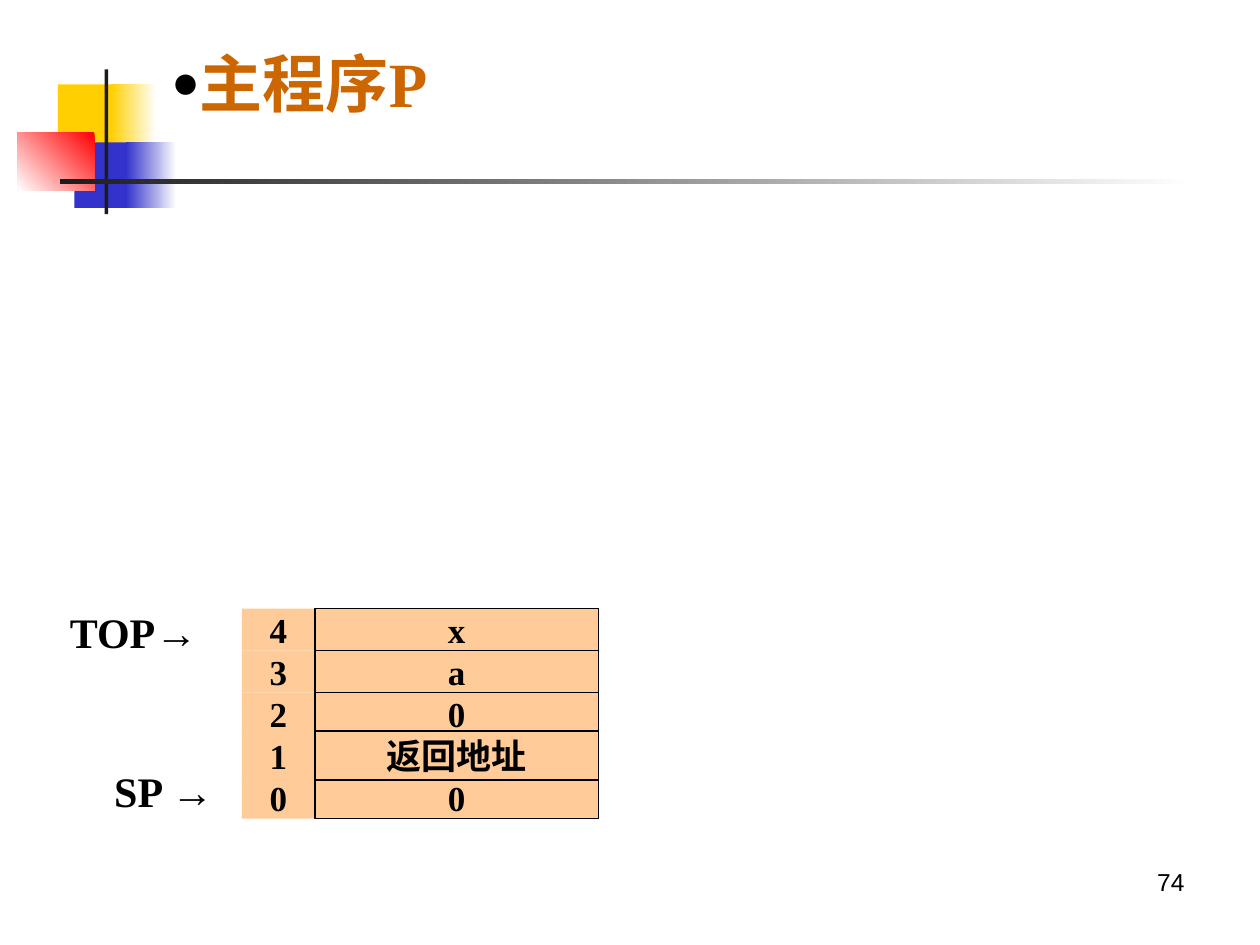
from lxml import etree
from pptx import Presentation
from pptx.dml.color import RGBColor
from pptx.enum.shapes import MSO_SHAPE
from pptx.enum.text import MSO_ANCHOR, MSO_AUTO_SIZE, PP_ALIGN
from pptx.oxml.ns import qn
from pptx.util import Inches, Pt

RECTANGLE = MSO_SHAPE.RECTANGLE
MIDDLE, TOP = MSO_ANCHOR.MIDDLE, MSO_ANCHOR.TOP
LEFT, CENTER, RIGHT = PP_ALIGN.LEFT, PP_ALIGN.CENTER, PP_ALIGN.RIGHT
NO_AUTOFIT = MSO_AUTO_SIZE.NONE

# Content
TITLE = "主程序P"
SLIDE_NUMBER = "74"
STACK = [("4", "x"), ("3", "a"), ("2", "0"), ("1", "返回地址"), ("0", "0")]
TALL_ROW = 3  # the return address, drawn over its neighbours
POINTERS = [("SP ", (0.59, 6.11, 1.42, 0.33)), ("TOP", (0.35, 4.85, 1.42, 0.33))]

THEME = {
    "black": "000000", "white": "FFFFFF", "orange": "CC6600", "peach": "FFCC99",
    "yellow": "FFCF01", "blue": "3333CC", "red": "FF0000", "ink": "1C1C1C",
    "serif": "Times New Roman", "sans": "Arial",
    "title": 36, "pointer": 24, "cell": 20, "number": 14,
}

# Box, then one colour, or start colour, end colour and counter-clockwise angle
DECORATION = [
    ((0.46, 0.67, 0.48, 0.52), ("yellow",)),
    ((0.88, 0.67, 0.36, 0.52), ("white", "yellow", 180)),
    ((0.59, 1.13, 0.46, 0.52), ("blue",)),
    ((1.0, 1.13, 0.4, 0.52), ("white", "blue", 180)),
    ((0.14, 1.05, 0.61, 0.46), ("red", "white", 225)),
    ((0.83, 0.55, 0.03, 1.15), ("ink",)),
    ((0.48, 1.42, 9, 0.04), ("white", "ink", 180)),
]

# Stack geometry
STACK_TOP, ROW_HEIGHT = 4.83, 1 / 3
TALL_TOP, TALL_HEIGHT = 5.8, 0.39
COLUMNS = [(1.92, 0.58), (2.5, 2.25)]


def color(name):
    return RGBColor.from_string(THEME[name])


def add_rectangle(slide, box, paint, outlined=False):
    shape = slide.shapes.add_shape(RECTANGLE, *map(Inches, box))
    shape.shadow.inherit = False
    if len(paint) == 1:
        shape.fill.solid()
        shape.fill.fore_color.rgb = color(paint[0])
    else:
        shape.fill.gradient()
        shape.fill.gradient_angle = paint[2]
        for stop, name, position in zip(shape.fill.gradient_stops, paint, (0, 1)):
            stop.color.rgb = color(name)
            stop.position = position
    if outlined:
        shape.line.color.rgb = color("black")
        shape.line.width = Pt(1)
    else:
        shape.line.fill.background()
    return shape


def write(shape, runs, size, align=CENTER, anchor=MIDDLE, wrap=False,
          inset=0.05, bold=True, ink="black"):
    """Fill a shape with one paragraph of (text, font) runs."""
    frame = shape.text_frame
    settings = {
        "auto_size": NO_AUTOFIT, "word_wrap": wrap, "vertical_anchor": anchor,
        "margin_left": Inches(0.1), "margin_right": Inches(0.1),
        "margin_top": Inches(inset), "margin_bottom": Inches(inset),
    }
    for name, value in settings.items():
        setattr(frame, name, value)
    paragraph = frame.paragraphs[0]
    paragraph.alignment = align
    for text, font in runs:
        run = paragraph.add_run()
        run.text = text
        for name, value in {"name": THEME[font], "size": Pt(THEME[size]), "bold": bold}.items():
            setattr(run.font, name, value)
        run.font.color.rgb = color(ink)
    return paragraph


def add_bullet(paragraph):
    properties = paragraph._p.get_or_add_pPr()
    properties.set("marL", "0")
    properties.set("indent", "0")
    bullet_color = etree.SubElement(properties, qn("a:buClr"))
    etree.SubElement(bullet_color, qn("a:srgbClr"), val=THEME["black"])
    etree.SubElement(properties, qn("a:buSzPct"), val="75000")
    etree.SubElement(properties, qn("a:buFont"), typeface=THEME["sans"])
    etree.SubElement(properties, qn("a:buChar"), char="●")


def add_stack_row(slide, index):
    top, height = STACK_TOP + index * ROW_HEIGHT, ROW_HEIGHT
    if index == TALL_ROW:
        top, height = TALL_TOP, TALL_HEIGHT
    for column, text in enumerate(STACK[index]):
        left, width = COLUMNS[column]
        cell = add_rectangle(slide, (left, top, width, height), ("peach",), outlined=column == 1)
        write(cell, [(text, "serif")], "cell", inset=0)


def main():
    presentation = Presentation()
    presentation.slide_width, presentation.slide_height = Inches(10), Inches(7.5)
    slide = presentation.slides.add_slide(presentation.slide_layouts[5])

    # Corner decoration and rule
    for box, paint in DECORATION:
        add_rectangle(slide, box, paint)

    # Title
    title = slide.shapes.title
    title.left, title.top, title.width, title.height = map(Inches, (1.26, 0.23, 8.52, 0.84))
    add_bullet(write(title, [(TITLE, "serif")], "title", LEFT, wrap=True, ink="orange"))

    # Stack, with the tall row last
    for index in sorted(range(len(STACK)), key=lambda row: row == TALL_ROW):
        add_stack_row(slide, index)

    # Pointers into the stack
    for label, box in POINTERS:
        pointer = slide.shapes.add_textbox(*map(Inches, box))
        write(pointer, [(label, "serif"), ("→", "sans")], "pointer")

    # Slide number
    number = slide.shapes.add_textbox(*map(Inches, (7.17, 6.83, 2.33, 0.52)))
    write(number, [(SLIDE_NUMBER, "sans")], "number", RIGHT, TOP, wrap=True, bold=False)

    presentation.save("out.pptx")


if __name__ == "__main__":
    main()
